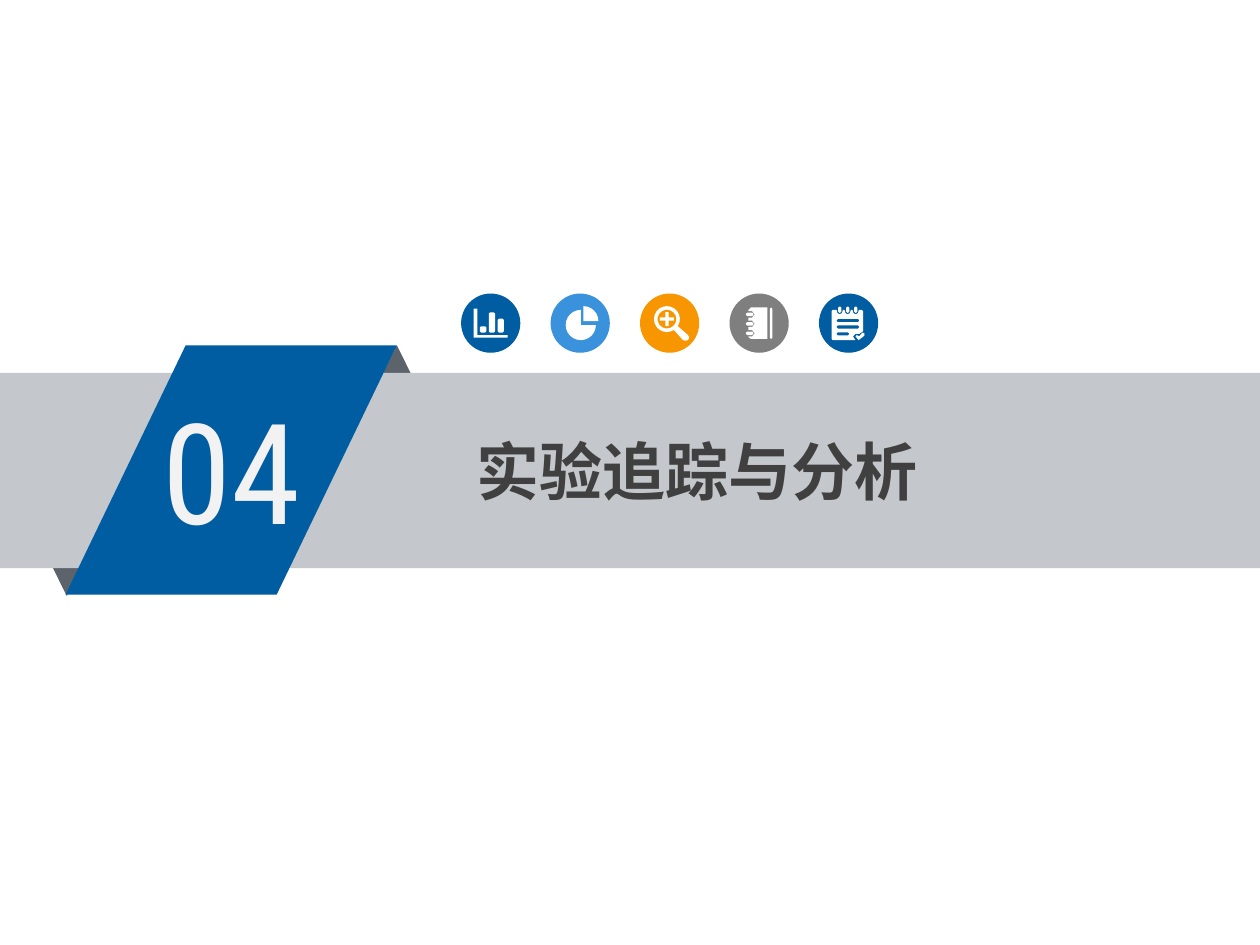
from math import cos, radians, sin

from lxml.etree import SubElement
from pptx import Presentation
from pptx.dml.color import RGBColor
from pptx.enum.shapes import MSO_SHAPE as SHAPE
from pptx.enum.text import MSO_ANCHOR, MSO_AUTO_SIZE, PP_ALIGN
from pptx.oxml.ns import qn
from pptx.util import Inches, Pt

COLORS = {"navy": "005DA2", "sky": "3992DB", "orange": "F79600", "gray": "7F7F7F",
          "band": "C4C7CB", "fold": "5D636A", "number": "F2F2F2", "title": "404040",
          "white": "FFFFFF"}

NUMBER = {"text": "04", "box": (1.22, 3.01, 1.45, 1.42), "margin": 0.07,
          "font": {"name": "Roboto Condensed", "size": Pt(80), "bold": False},
          "color": "number"}
TITLE = {"text": "实验追踪与分析", "box": (3.7, 3.39, 5.75, 0.68), "margin": 0.08,
         "font": {"name": "Noto Sans CJK SC", "size": Pt(36), "bold": True},
         "color": "title"}

# preset, box, colour, rotation
RIBBON = [
    (SHAPE.ISOSCELES_TRIANGLE, (2.7, 2.74, 0.9, 0.91), "fold", 0),
    (SHAPE.ISOSCELES_TRIANGLE, (0.08, 3.82, 0.9, 0.91), "fold", 180),
    (SHAPE.RECTANGLE, (0, 2.96, 10, 1.55), "band", 0),
    (SHAPE.PARALLELOGRAM, (0.52, 2.74, 2.63, 1.98), "navy", 0),
]
SLANT = 0.482

BADGE_LEFT, BADGE_TOP, BADGE_SIZE, BADGE_STEP = 3.66, 2.33, 0.47, 0.71


def arc(x, y, radius, start=0, end=360):
    """Return points along a clockwise arc, with fewer steps on short arcs."""
    steps = max(1, round((end - start) * radius / 180))
    angles = [radians(start + (end - start) * i / steps) for i in range(steps + 1)]
    return [(x + radius * cos(a), y + radius * sin(a)) for a in angles]


def bar(x, y, width, height, radius=1):
    """Return the outline of a bar with softened corners."""
    right, bottom = x + width - radius, y + height - radius
    corners = [(right, bottom), (x + radius, bottom),
               (x + radius, y + radius), (right, y + radius)]
    return [point for i, (cx, cy) in enumerate(corners)
            for point in arc(cx, cy, radius, 90 * i, 90 * i + 90)]


def bar_chart():
    """Axes and three columns."""
    axes = [(10, 12), (13, 12), (13, 33), (37, 33), (37, 35), (10, 35)]
    return [axes] + [bar(15 + 7 * i, 31 - h, 5, h) for i, h in enumerate((5, 16, 11))]


def pie_chart():
    """A three-quarter pie and its detached quarter."""
    return [[(26, 22)] + arc(26, 22, 12, -90, 0), [(24, 25)] + arc(24, 25, 12, 0, 270)]


def magnifier():
    """A lens with a handle and a plus sign."""
    handle = [(38, 33), (39, 35), (38, 37), (36, 37.5), (34, 37)]
    plus = [(-1.3, -5.5), (1.3, -5.5), (1.3, -1.3), (5.5, -1.3), (5.5, 1.3), (1.3, 1.3),
            (1.3, 5.5), (-1.3, 5.5), (-1.3, 1.3), (-5.5, 1.3), (-5.5, -1.3), (-1.3, -1.3)]
    return [arc(21.3, 20.3, 10.3, 57, 393) + handle, arc(21.3, 20.3, 7.5),
            [(21.3 + x, 20.3 + y) for x, y in plus]]


def notebook():
    """A cover with a separate edge and three binding rings."""
    tops = [14 + 7.5 * i for i in range(3)]
    cover = [(30, 36), (30, 11), (17, 11), (15, 13)]
    for y in tops:
        cover += [(15, y), (18, y), (20, y + 2.5), (18, y + 5), (15, y + 5)]
    cover += [(15, 34.5), (17, 36)]
    return [cover, bar(32, 11, 2, 25)] + [bar(13, y + 1.1, 6, 2.8) for y in tops]


def notepad():
    """A ringed page with three lines and a check mark."""
    lefts = [14 + 6.35 * i for i in range(3)]
    page = [(10, 14), (11, 13)]
    for x in lefts:
        page += [(x, 13), (x + 0.7, 15.5), (x + 2.5, 16.5), (x + 4.3, 15.5), (x + 5, 13)]
    page += [(34, 13), (35, 14), (35, 30), (32, 32), (29, 32), (27, 34), (29, 37),
             (11, 37), (10, 36)]
    check = [(29, 34), (30, 33), (32, 34), (34.5, 31), (36, 31.5), (36, 33.5), (31.5, 37)]
    lines = [bar(14, 20.2, 18, 2.6), bar(14, 25.2, 18, 2.6), bar(14, 30.8, 10, 2.4)]
    return [page, check] + lines + [bar(x + 1.2, 10.3, 2.6, 5) for x in lefts]


BADGES = [("navy", bar_chart), ("sky", pie_chart), ("orange", magnifier),
          ("gray", notebook), ("navy", notepad)]


def paint(shape, color):
    """Give a shape a plain fill without line or shadow."""
    shape.fill.solid()
    shape.fill.fore_color.rgb = RGBColor.from_string(COLORS[color])
    shape.line.fill.background()
    shape.shadow.inherit = False


def place(shape, box):
    """Move and size a shape."""
    for side, value in zip(("left", "top", "width", "height"), box):
        setattr(shape, side, Inches(value))


def write(shape, content):
    """Place and format a one-line text."""
    place(shape, content["box"])
    frame = shape.text_frame
    frame.text = content["text"]
    settings = {"word_wrap": True, "auto_size": MSO_AUTO_SIZE.NONE,
                "vertical_anchor": MSO_ANCHOR.MIDDLE,
                "margin_left": Inches(content["margin"]),
                "margin_right": Inches(content["margin"]),
                "margin_top": Inches(0.04), "margin_bottom": Inches(0.04)}
    for key, value in settings.items():
        setattr(frame, key, value)
    line = frame.paragraphs[0]
    line.alignment = PP_ALIGN.LEFT
    run = line.runs[0]
    for key, value in content["font"].items():
        setattr(run.font, key, value)
    run.font.color.rgb = RGBColor.from_string(COLORS[content["color"]])
    east_asian = SubElement(run.font._element, qn("a:ea"))
    east_asian.set("typeface", content["font"]["name"])


def add_badge(shapes, left, color, outlines):
    """Add a round badge with a white icon, drawn in hundredths of an inch."""
    group = shapes.add_group_shape().shapes
    size = Inches(BADGE_SIZE)
    paint(group.add_shape(SHAPE.OVAL, Inches(left), Inches(BADGE_TOP), size, size), color)
    builder = None
    for outline in outlines:
        first, *rest = [(Inches(left + x / 100), Inches(BADGE_TOP + y / 100))
                        for x, y in outline]
        if builder is None:
            builder = group.build_freeform(*first)
        else:
            builder.move_to(*first)
        builder.add_line_segments(rest, close=True)
    paint(builder.convert_to_shape(), "white")


deck = Presentation()
deck.slide_width, deck.slide_height = Inches(10), Inches(7.5)
slide = deck.slides.add_slide(deck.slide_layouts[5])

ribbon = slide.shapes.add_group_shape().shapes
for preset, box, color, rotation in RIBBON:
    part = ribbon.add_shape(preset, *map(Inches, box))
    part.rotation = rotation
    paint(part, color)
    if preset == SHAPE.PARALLELOGRAM:
        part.adjustments[0] = SLANT
write(ribbon.add_textbox(*map(Inches, NUMBER["box"])), NUMBER)

title = slide.shapes.title
write(title, TITLE)
title.element.getparent().append(title.element)

for i, (color, icon) in enumerate(BADGES):
    add_badge(slide.shapes, BADGE_LEFT + i * BADGE_STEP, color, icon())

deck.save("out.pptx")
